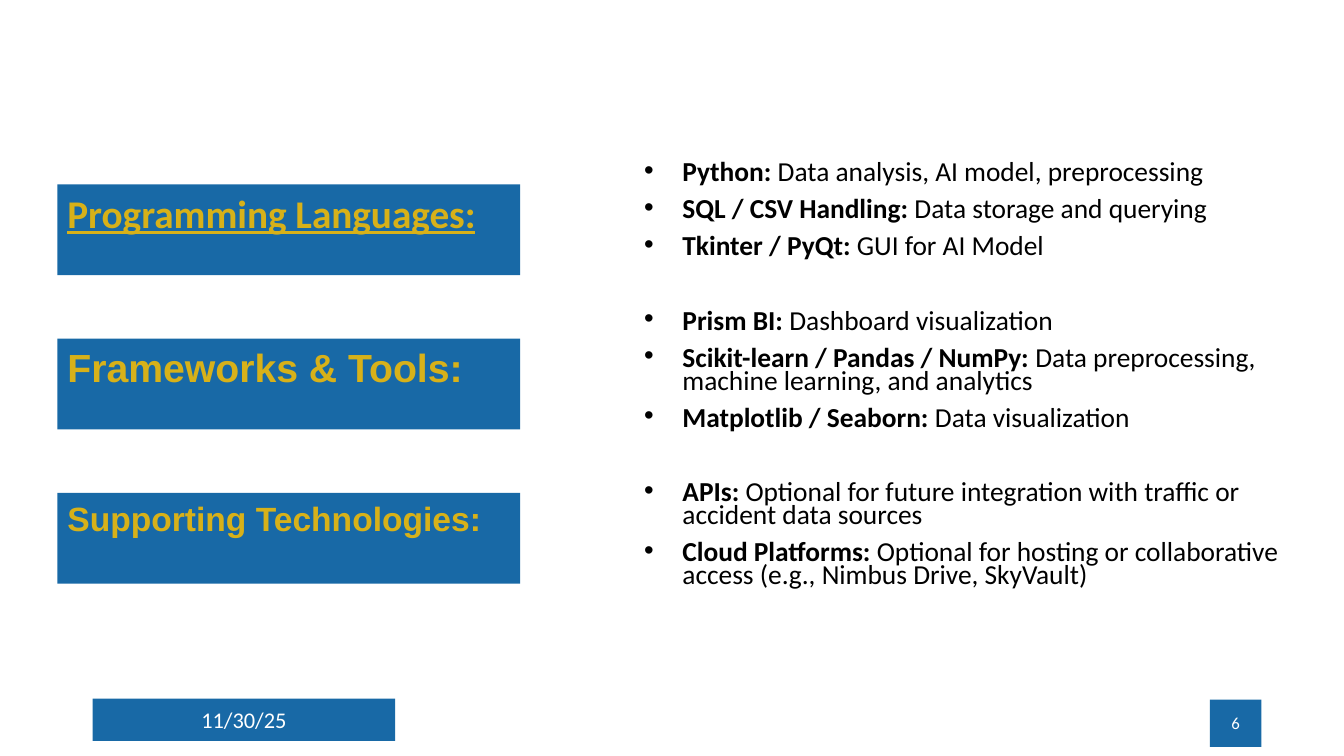
from pptx import Presentation
from pptx.dml.color import RGBColor
from pptx.enum.shapes import MSO_SHAPE
from pptx.enum.text import MSO_ANCHOR, PP_ALIGN
from pptx.oxml import parse_xml
from pptx.oxml.ns import nsdecls
from pptx.util import Inches, Pt

RECTANGLE = MSO_SHAPE.RECTANGLE
TOP, MIDDLE = MSO_ANCHOR.TOP, MSO_ANCHOR.MIDDLE
LEFT, CENTER = PP_ALIGN.LEFT, PP_ALIGN.CENTER

BLUE = RGBColor(0x18, 0x69, 0xA6)
GOLD = RGBColor(0xD7, 0xB1, 0x19)
WHITE = RGBColor(0xFF, 0xFF, 0xFF)
BLACK = RGBColor(0x00, 0x00, 0x00)

HEADINGS = [
    ("Programming Languages:", {"name": "Calibri", "size": Pt(28), "underline": True}),
    ("Frameworks & Tools:", {"name": "Arial", "size": Pt(28)}),
    ("Supporting Technologies:", {"name": "Arial", "size": Pt(24)}),
]
TOOL_GROUPS = [
    [
        ("Python:", " Data analysis, AI model, preprocessing"),
        ("SQL / CSV Handling:", " Data storage and querying"),
        ("Tkinter / PyQt:", " GUI for AI Model"),
    ],
    [
        ("Prism BI:", " Dashboard visualization"),
        ("Scikit-learn / Pandas / NumPy:", " Data preprocessing, machine learning, and analytics"),
        ("Matplotlib / Seaborn:", " Data visualization"),
    ],
    [
        ("APIs:", " Optional for future integration with traffic or accident data sources"),
        ("Cloud Platforms:", " Optional for hosting or collaborative access (e.g., Nimbus Drive, SkyVault)"),
    ],
]
FOOTERS = [
    ("11/30/25", (0.92, 6.93, 3, 0.42), 16),
    ("6", (12, 6.94, 0.51, 0.47), 12),
]

HEADING_LEFT, HEADING_TOP = 0.57, 1.83
HEADING_WIDTH, HEADING_HEIGHT = 4.59, 0.9
HEADING_STEP = 1.53
TOOLS_BOX = (6.17, 1.57, 6.78, 4.76)
TOOL_SIZE = 19.6
ITEM_GAP, GROUP_GAP = 10, 36.7


def add_run(paragraph, text, font_format, color):
    run = paragraph.add_run()
    run.text = text
    for attribute, value in font_format.items():
        setattr(run.font, attribute, value)
    run.font.color.rgb = color


def add_panel(slide, text, box, font_format, color, anchor, alignment):
    shape = slide.shapes.add_shape(RECTANGLE, *map(Inches, box))
    shape.shadow.inherit = False
    shape.fill.solid()
    shape.fill.fore_color.rgb = BLUE
    shape.line.fill.background()
    shape.text_frame.vertical_anchor = anchor
    paragraph = shape.text_frame.paragraphs[0]
    paragraph.alignment = alignment
    add_run(paragraph, text, font_format, color)


def add_bullet(paragraph):
    properties = paragraph._p.get_or_add_pPr()
    properties.set("marL", str(Inches(0.5)))
    properties.set("indent", str(Inches(-0.38)))
    for markup in (
        f'<a:buClr {nsdecls("a")}><a:srgbClr val="{BLACK}"/></a:buClr>',
        f'<a:buFont {nsdecls("a")} typeface="Arial"/>',
        f'<a:buChar {nsdecls("a")} char="•"/>',
    ):
        properties.append(parse_xml(markup))


def add_tools(slide):
    frame = slide.shapes.add_textbox(*map(Inches, TOOLS_BOX)).text_frame
    frame.word_wrap = True
    paragraph = frame.paragraphs[0]
    for group_index, group in enumerate(TOOL_GROUPS):
        for item_index, (tool, purpose) in enumerate(group):
            if group_index or item_index:
                paragraph = frame.add_paragraph()
            starts_group = group_index and not item_index
            paragraph.line_spacing = 0.7
            paragraph.space_before = Pt(GROUP_GAP if starts_group else ITEM_GAP)
            add_bullet(paragraph)
            for text, bold in ((tool, True), (purpose, False)):
                font_format = {"name": "Calibri", "size": Pt(TOOL_SIZE), "bold": bold}
                add_run(paragraph, text, font_format, BLACK)


def main():
    presentation = Presentation()
    presentation.slide_width = Inches(13.33)
    presentation.slide_height = Inches(7.5)
    slide = presentation.slides.add_slide(presentation.slide_layouts[6])
    for text, box, size in FOOTERS:
        font_format = {"name": "Calibri", "size": Pt(size)}
        add_panel(slide, text, box, font_format, WHITE, MIDDLE, CENTER)
    add_tools(slide)
    for row, (text, font_format) in enumerate(HEADINGS):
        box = (HEADING_LEFT, HEADING_TOP + row * HEADING_STEP, HEADING_WIDTH, HEADING_HEIGHT)
        add_panel(slide, text, box, {**font_format, "bold": True}, GOLD, TOP, LEFT)
    presentation.save("out.pptx")


if __name__ == "__main__":
    main()
